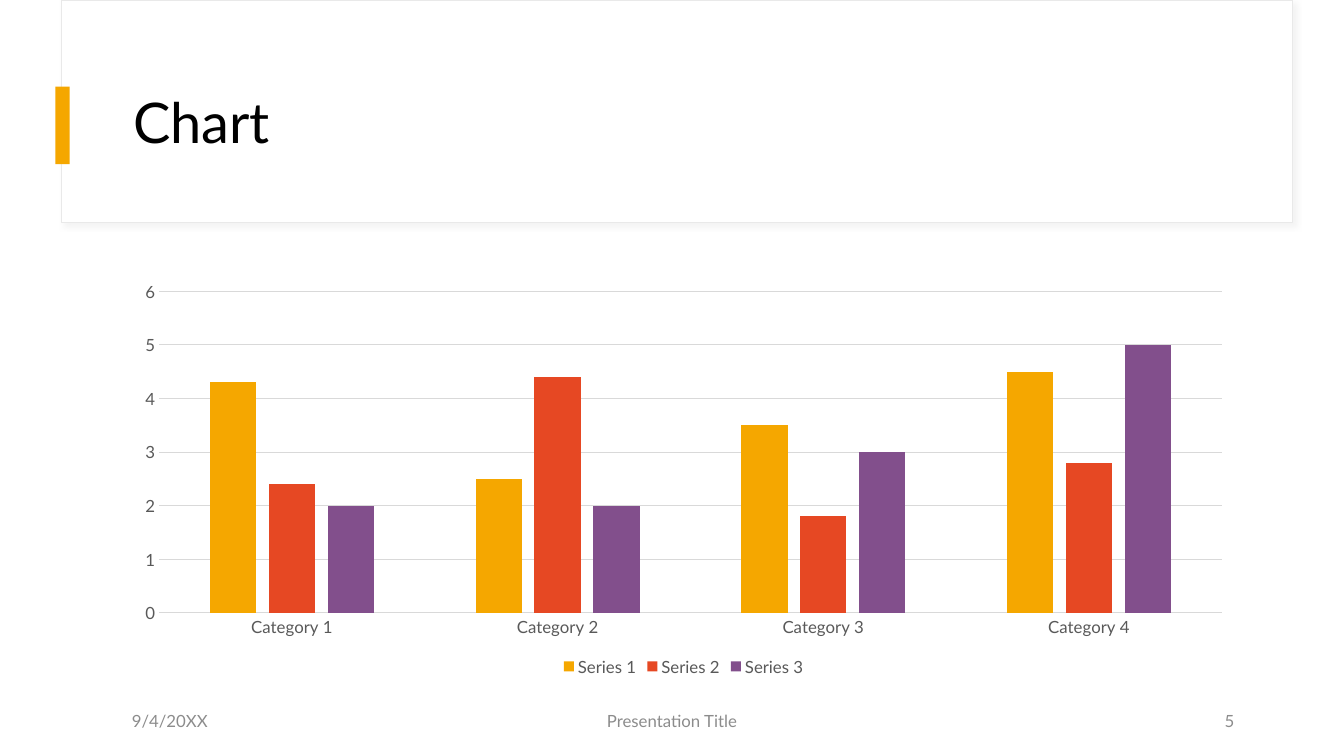
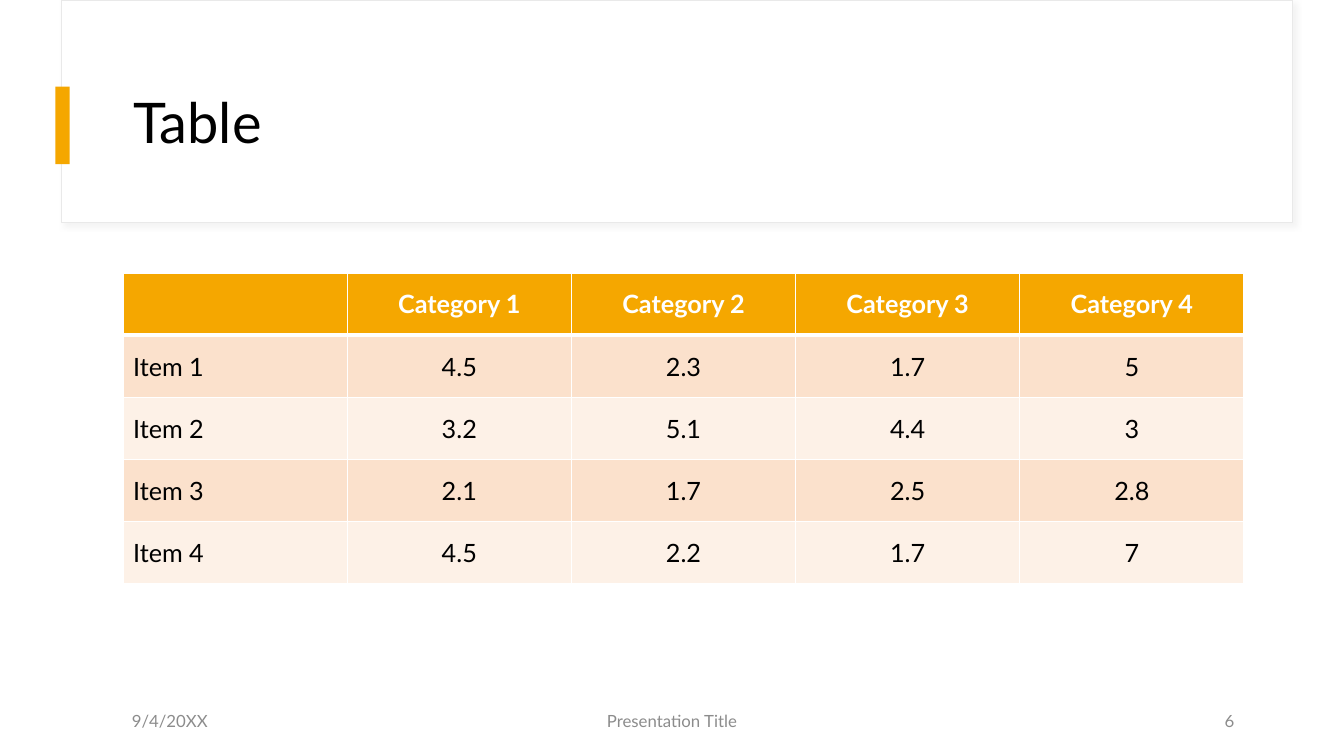
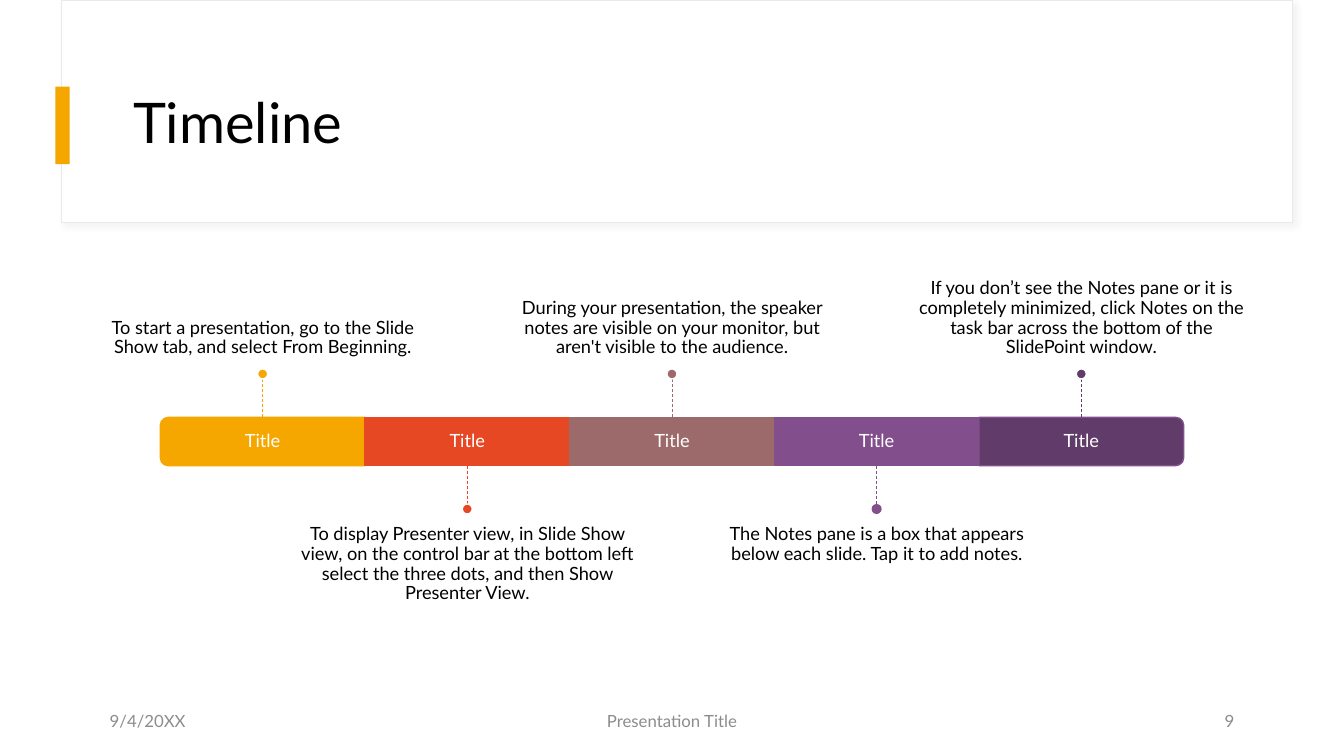
import lxml.etree
import pptx
import pptx.chart.data
import pptx.dml.color
import pptx.enum.chart
import pptx.enum.dml
import pptx.enum.shapes
import pptx.enum.text
import pptx.oxml.ns
import pptx.util

Inches = pptx.util.Inches
Pt = pptx.util.Pt
Align = pptx.enum.text.PP_ALIGN
Anchor = pptx.enum.text.MSO_ANCHOR
Preset = pptx.enum.shapes.MSO_SHAPE

FONT = "Lato"
WHITE, BLACK, GRAY, AXIS_GRAY, GRID_GRAY = "FFFFFF", "000000", "8C8C8C", "595959", "D9D9D9"
AMBER, RED, ROSE, PURPLE, PLUM = "F5A700", "E64823", "9C6A6A", "824F8C", "613B69"
BAND_COLORS = ("FBE1CC", "FDF1E7")

SLIDE_WIDTH, SLIDE_HEIGHT = 13.33, 7.5
LEFT, CONTENT_TOP, CONTENT_WIDTH = 1.22, 2.71, 11.12
FOOTER_TOP, FOOTER_HEIGHT = 6.95, 0.4

CATEGORIES = [f"Category {number}" for number in range(1, 5)]
SERIES = [
    ("Series 1", (4.3, 2.5, 3.5, 4.5), AMBER),
    ("Series 2", (2.4, 4.4, 1.8, 2.8), RED),
    ("Series 3", (2, 2, 3, 5), PURPLE),
]
TABLE_ROWS = [
    ["", *CATEGORIES],
    ["Item 1", "4.5", "2.3", "1.7", "5"],
    ["Item 2", "3.2", "5.1", "4.4", "3"],
    ["Item 3", "2.1", "1.7", "2.5", "2.8"],
    ["Item 4", "4.5", "2.2", "1.7", "7"],
]
MILESTONES = [
    ("To start a presentation, go to the Slide Show tab, and select From Beginning.", AMBER, AMBER),
    ("To display Presenter view, in Slide Show view, on the control bar at the bottom left "
     "select the three dots, and then Show Presenter View.", RED, RED),
    ("During your presentation, the speaker notes are visible on your monitor, "
     "but aren't visible to the audience.", ROSE, ROSE),
    ("The Notes pane is a box that appears below each slide. Tap it to add notes.", PURPLE, PURPLE),
    ("If you don’t see the Notes pane or it is completely minimized, click Notes on the "
     "task bar across the bottom of the SlidePoint window.", PLUM, PURPLE),
]


def rgb(color):
    return pptx.dml.color.RGBColor.from_string(color)


def add_element(parent, tag, **attributes):
    return lxml.etree.SubElement(parent, pptx.oxml.ns.qn(tag), attributes)


def style_font(font, size, color, bold=False):
    font.name, font.size, font.bold = FONT, Pt(size), bold
    font.color.rgb = rgb(color)


def write(frame, text, size, color, align=Align.LEFT, bold=False, spacing=None, after=None):
    paragraph = frame.paragraphs[0]
    paragraph.text = text
    paragraph.alignment = align
    paragraph.line_spacing = spacing
    if after:
        paragraph.space_after = Pt(after)
    style_font(paragraph.font, size, color, bold)


def set_frame(frame, anchor=Anchor.MIDDLE, insets=(0.1, 0.05, 0.1, 0.05)):
    frame.word_wrap = True
    frame.vertical_anchor = anchor
    frame.margin_left, frame.margin_top, frame.margin_right, frame.margin_bottom = map(Inches, insets)


def add_textbox(slide, box):
    return slide.shapes.add_textbox(*map(Inches, box)).text_frame


def add_box(slide, preset, box, fill, line=None, line_width=1):
    shape = slide.shapes.add_shape(preset, *map(Inches, box))
    shape.shadow.inherit = False
    shape.fill.solid()
    shape.fill.fore_color.rgb = rgb(fill)
    if line:
        shape.line.color.rgb = rgb(line)
        shape.line.width = Pt(line_width)
    else:
        shape.line.fill.background()
    return shape


def add_soft_shadow(shape):
    effects = shape.element.spPr.find(pptx.oxml.ns.qn("a:effectLst"))
    shadow = add_element(effects, "a:outerShdw", blurRad=str(Pt(4)), dist=str(Pt(3)),
                         dir=str(45 * 60000), algn="tl", rotWithShape="0")
    color = add_element(shadow, "a:srgbClr", val=GRID_GRAY)
    add_element(color, "a:alpha", val="30000")


def decorate_layout(layout, slide):
    frame = add_box(slide, Preset.RECTANGLE, (0.61, 0, 12.21, 2.21), WHITE, "E9E9E9", 0.75)
    add_soft_shadow(frame)
    accent = add_box(slide, Preset.RECTANGLE, (0.55, 0.86, 0.14, 0.77), AMBER)
    for order, shape in enumerate((frame, accent)):
        shape.element.nvSpPr.cNvPr.set("id", str(100 + order))
        layout.shapes.element.insert(2 + order, shape.element)


def add_title(slide, text):
    title = slide.shapes.title
    title.left, title.top, title.width, title.height = map(Inches, (LEFT, 0.6, CONTENT_WIDTH, 1.29))
    set_frame(title.text_frame)
    write(title.text_frame, text, 40, BLACK, spacing=0.9)


def add_footer(slide, number, date_left):
    for text, left, width, align in (
        ("9/4/20XX", date_left, 3, Align.LEFT),
        ("Presentation Title", (SLIDE_WIDTH - 4.5) / 2, 4.5, Align.CENTER),
        (str(number), LEFT + CONTENT_WIDTH - 3, 3, Align.RIGHT),
    ):
        frame = add_textbox(slide, (left, FOOTER_TOP, width, FOOTER_HEIGHT))
        set_frame(frame)
        write(frame, text, 12, GRAY, align)


def draw_chart(slide):
    data = pptx.chart.data.CategoryChartData()
    data.categories = CATEGORIES
    for name, values, _ in SERIES:
        data.add_series(name, values)
    chart = slide.shapes.add_chart(
        pptx.enum.chart.XL_CHART_TYPE.COLUMN_CLUSTERED,
        *map(Inches, (LEFT, CONTENT_TOP, CONTENT_WIDTH, 4.04)), data).chart
    chart.has_title = False
    style_font(chart.font, 10, BLACK)
    chart.has_legend = True
    chart.legend.position = pptx.enum.chart.XL_LEGEND_POSITION.BOTTOM
    chart.legend.include_in_layout = False
    style_font(chart.legend.font, 12, AXIS_GRAY)
    for axis in (chart.category_axis, chart.value_axis):
        axis.major_tick_mark = axis.minor_tick_mark = pptx.enum.chart.XL_TICK_MARK.NONE
        style_font(axis.tick_labels.font, 12, AXIS_GRAY)
    chart.value_axis.minimum_scale, chart.value_axis.maximum_scale = 0, 6
    chart.value_axis.major_unit = 1
    chart.value_axis.format.line.fill.background()
    for rule in (chart.category_axis.format.line, chart.value_axis.major_gridlines.format.line):
        rule.color.rgb = rgb(GRID_GRAY)
        rule.width = Pt(0.75)
    plot = chart.plots[0]
    plot.vary_by_categories = False
    plot.gap_width, plot.overlap = 219, -27
    for series, (_, _, color) in zip(plot.series, SERIES):
        series.format.fill.solid()
        series.format.fill.fore_color.rgb = rgb(color)


def set_borders(cell, top, bottom):
    properties = cell._tc.get_or_add_tcPr()
    for order, (side, width) in enumerate((("L", 1), ("R", 1), ("T", top), ("B", bottom))):
        border = add_element(properties, f"a:ln{side}", w=str(Pt(width)))
        add_element(add_element(border, "a:solidFill"), "a:srgbClr", val=WHITE)
        properties.insert(order, border)


def draw_table(slide):
    row_count, column_count = len(TABLE_ROWS), len(TABLE_ROWS[0])
    table = slide.shapes.add_table(
        row_count, column_count, *map(Inches, (LEFT, CONTENT_TOP, CONTENT_WIDTH, 3.08))).table
    for row, values in enumerate(TABLE_ROWS):
        header = row == 0
        for column, value in enumerate(values):
            cell = table.cell(row, column)
            cell.vertical_anchor = Anchor.MIDDLE
            cell.fill.solid()
            cell.fill.fore_color.rgb = rgb(AMBER if header else BAND_COLORS[(row - 1) % 2])
            write(cell.text_frame, value, 18, WHITE if header else BLACK,
                  Align.CENTER if column else Align.LEFT, header)
            set_borders(cell, 3 if row == 1 else 1, 3 if header else 1)


def draw_timeline(slide):
    start, step, bar_top, bar_height = 1.59, 2.03, 4.14, 0.48
    stem, dot, note_width, note_height = 0.38, 0.1, 3.38, 1.67
    bar_bottom = bar_top + bar_height
    last = len(MILESTONES) - 1
    for index, (note, color, outline) in enumerate(MILESTONES):
        left = start + index * step
        center = left + step / 2
        above = index % 2 == 0
        rounded = index in (0, last)
        if rounded:
            box = (center - bar_height / 2, bar_top + (bar_height - step) / 2, bar_height, step)
            bar = add_box(slide, Preset.ROUND_2_SAME_RECTANGLE, box, color, outline)
            bar.rotation = 90 if index else 270
            label = add_textbox(slide, (left, bar_top, step, bar_height))
        else:
            bar = add_box(slide, Preset.RECTANGLE, (left, bar_top, step, bar_height), color, outline)
            label = bar.text_frame
        set_frame(label, insets=(0.11,) * 4)
        write(label, "Title", 13, WHITE, Align.CENTER, spacing=0.9, after=4.5)

        edge = bar_top if above else bar_bottom
        tip = edge - stem if above else edge + stem
        dot_top = tip - dot if above else tip
        note_top = dot_top - note_height if above else dot_top + dot

        frame = add_textbox(slide, (center - note_width / 2, note_top, note_width, note_height))
        set_frame(frame, Anchor.BOTTOM if above else Anchor.TOP,
                  (0, 0, 0, 0.11) if above else (0, 0.11, 0, 0))
        write(frame, note, 13, BLACK, Align.CENTER, spacing=0.9, after=4.5)

        connector = slide.shapes.add_connector(
            pptx.enum.shapes.MSO_CONNECTOR.STRAIGHT, *map(Inches, (center, edge, center, tip)))
        if not rounded:
            connector.begin_connect(bar, 0 if above else 2)
        connector.line.color.rgb = rgb(color)
        connector.line.width = Pt(0.5)
        connector.line.dash_style = pptx.enum.dml.MSO_LINE.DASH
        add_element(connector.element.spPr, "a:effectLst")
        add_box(slide, Preset.OVAL, (center - dot / 2, dot_top, dot, dot), color,
                None if index == 3 else WHITE)


SLIDES = [
    ("Chart", 5, 1.21, draw_chart),
    ("Table", 6, 1.21, draw_table),
    ("Timeline", 9, 0.99, draw_timeline),
]


def main():
    presentation = pptx.Presentation()
    presentation.slide_width, presentation.slide_height = Inches(SLIDE_WIDTH), Inches(SLIDE_HEIGHT)
    layout = presentation.slide_layouts[5]
    for order, (title, number, date_left, draw) in enumerate(SLIDES):
        slide = presentation.slides.add_slide(layout)
        if order == 0:
            decorate_layout(layout, slide)
        add_title(slide, title)
        draw(slide)
        add_footer(slide, number, date_left)
    presentation.save("out.pptx")


if __name__ == "__main__":
    main()
